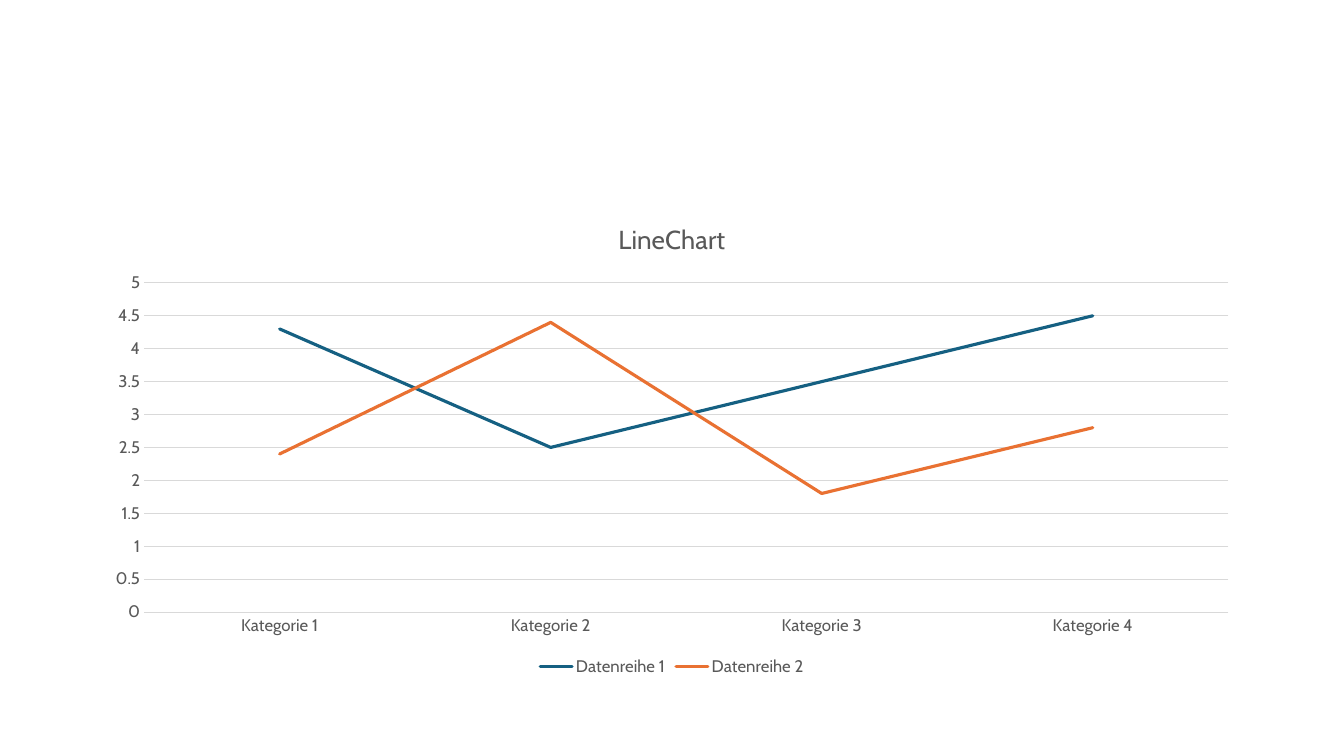
from pptx import Presentation
from pptx.chart.data import CategoryChartData
from pptx.dml.color import RGBColor
from pptx.enum.chart import XL_CHART_TYPE, XL_LEGEND_POSITION, XL_MARKER_STYLE, XL_TICK_MARK
from pptx.util import Pt

LINE_CHART = XL_CHART_TYPE.LINE
LEGEND_BOTTOM = XL_LEGEND_POSITION.BOTTOM
NO_MARKER = XL_MARKER_STYLE.NONE
NO_TICK = XL_TICK_MARK.NONE

CATEGORIES = [f"Kategorie {number}" for number in range(1, 5)]
SERIES = [
    ("Datenreihe 1", (4.3, 2.5, 3.5, 4.5), "156082"),
    ("Datenreihe 2", (2.4, 4.4, 1.8, 2.8), "E97132"),
]


def color(hex_string):
    return RGBColor.from_string(hex_string)


class SlideBuilder:
    font_name = "Cabin"
    text_color = "595959"
    grid_color = "D9D9D9"
    label_size = 12
    title_size = 18.6

    def __init__(self, slide):
        self.slide = slide

    def style_font(self, font, size):
        font.name = self.font_name
        font.size = Pt(size)
        font.bold = False
        font.color.rgb = color(self.text_color)

    def style_line(self, line, hex_string, width):
        line.color.rgb = color(hex_string)
        line.width = Pt(width)

    def add_title(self, chart, text):
        chart.has_title = True
        chart.chart_title.include_in_layout = False
        run = chart.chart_title.text_frame.paragraphs[0].add_run()
        run.text = text
        self.style_font(run.font, self.title_size)

    def style_axes(self, chart):
        for axis in (chart.category_axis, chart.value_axis):
            axis.major_tick_mark = axis.minor_tick_mark = NO_TICK
            self.style_font(axis.tick_labels.font, self.label_size)
        self.style_line(chart.category_axis.format.line, self.grid_color, 0.75)
        value_axis = chart.value_axis
        value_axis.minimum_scale = 0
        value_axis.maximum_scale = 5
        value_axis.major_unit = 0.5
        value_axis.format.line.fill.background()
        value_axis.has_major_gridlines = True
        self.style_line(value_axis.major_gridlines.format.line, self.grid_color, 0.75)

    def add_legend(self, chart):
        chart.has_legend = True
        chart.legend.position = LEGEND_BOTTOM
        chart.legend.include_in_layout = False
        self.style_font(chart.legend.font, self.label_size)

    def add_line_chart(self, title, categories, series, left, top, width, height):
        data = CategoryChartData(number_format="General")
        data.categories = categories
        for name, values, _ in series:
            data.add_series(name, values)
        chart = self.slide.shapes.add_chart(
            LINE_CHART, Pt(left), Pt(top), Pt(width), Pt(height), data
        ).chart
        self.style_font(chart.font, 10)
        self.add_title(chart, title)
        self.style_axes(chart)
        self.add_legend(chart)
        chart.plots[0].vary_by_categories = False
        for plotted, (_, _, hex_string) in zip(chart.plots[0].series, series):
            plotted.smooth = False
            plotted.marker.style = NO_MARKER
            self.style_line(plotted.format.line, hex_string, 2.25)
            for outline in plotted._element.xpath("c:spPr/a:ln"):
                outline.set("cap", "rnd")


def main():
    presentation = Presentation()
    presentation.slide_width = Pt(960)
    presentation.slide_height = Pt(540)
    slide = presentation.slides.add_slide(presentation.slide_layouts[6])
    builder = SlideBuilder(slide)
    builder.add_line_chart("LineChart", CATEGORIES, SERIES, 66, 143.75, 828, 342.6)
    presentation.save("out.pptx")


if __name__ == "__main__":
    main()
